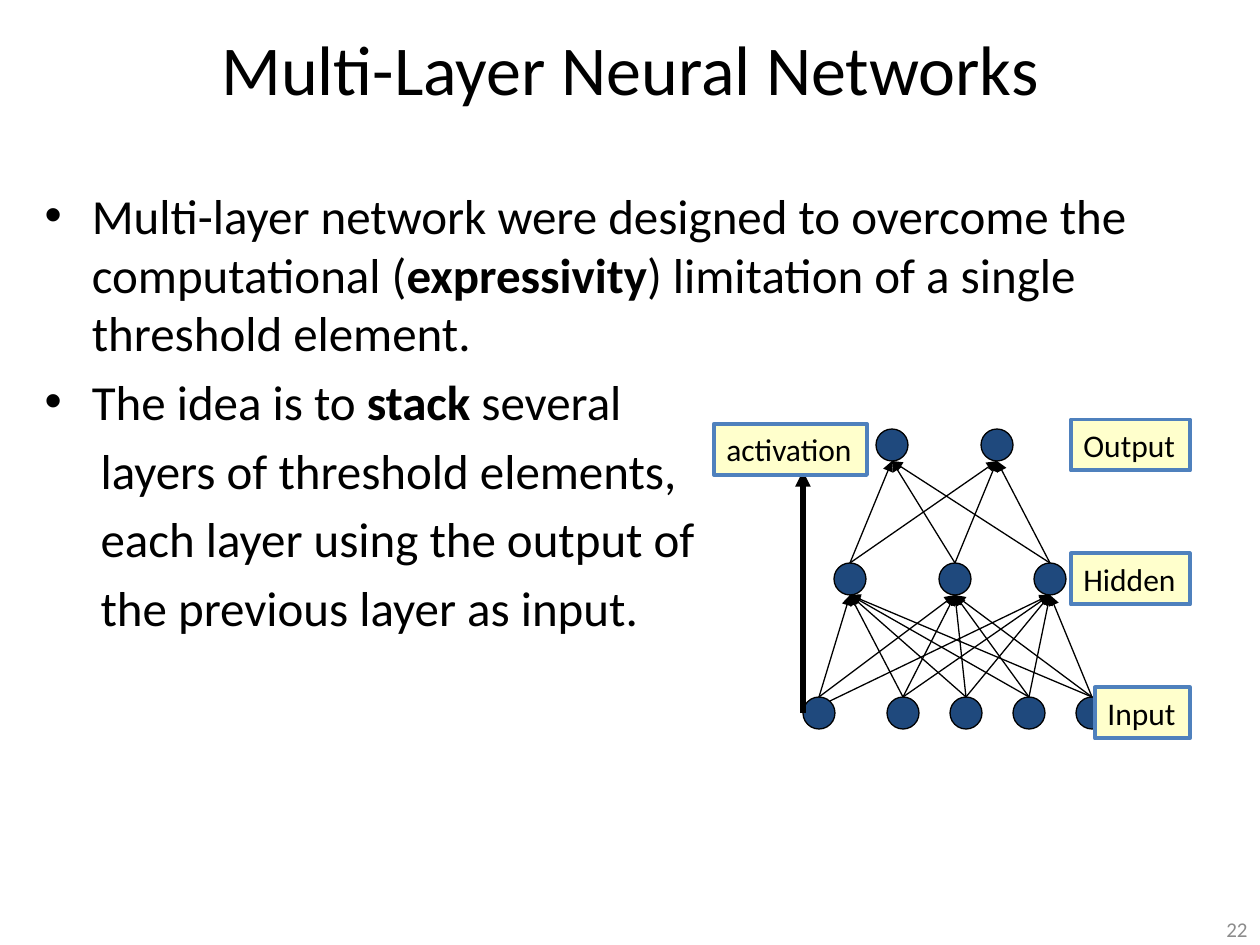
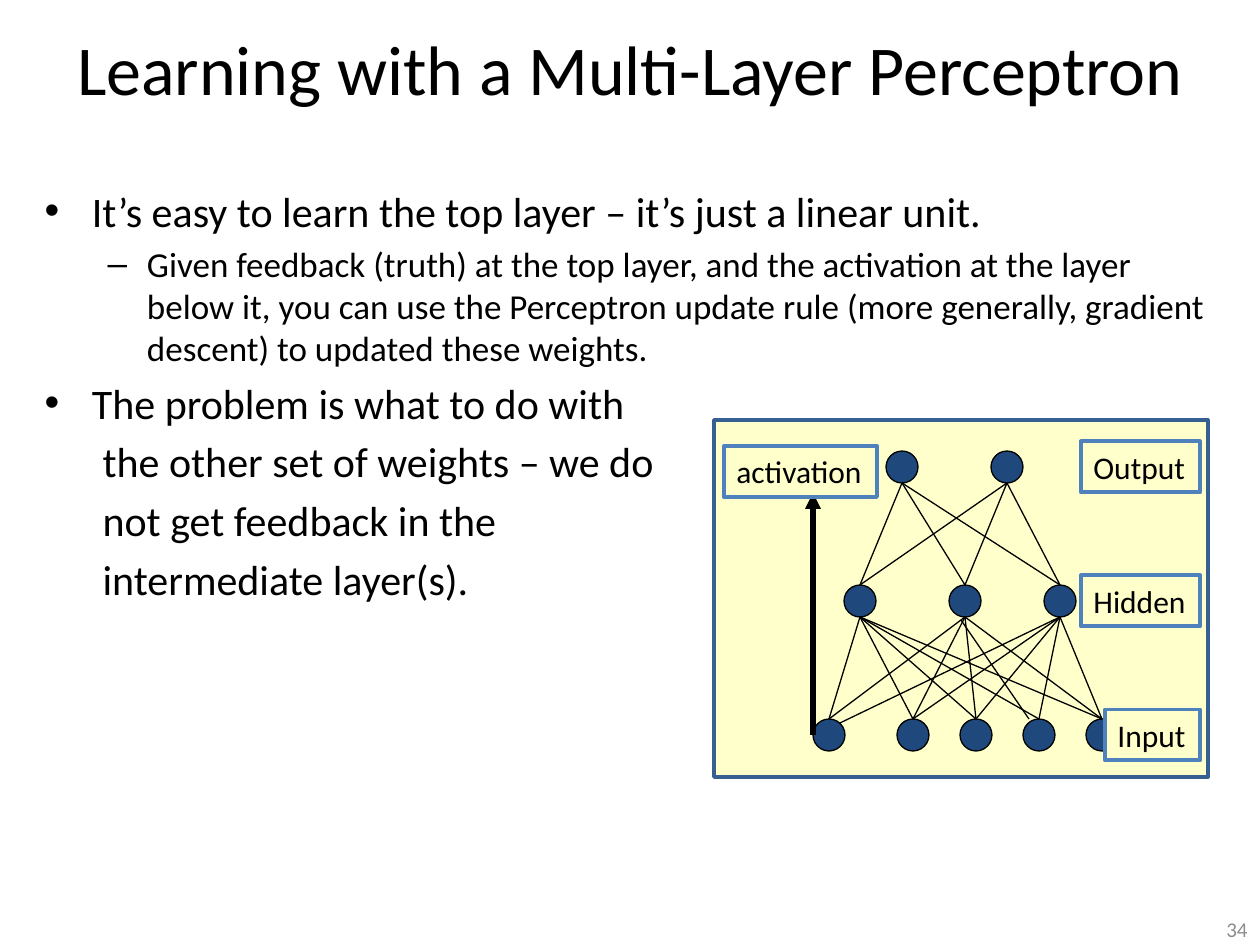
from dataclasses import dataclass

from lxml.etree import SubElement
from pptx import Presentation
from pptx.dml.color import RGBColor
from pptx.enum.shapes import MSO_CONNECTOR, MSO_SHAPE
from pptx.enum.text import MSO_ANCHOR, MSO_AUTO_SIZE, PP_ALIGN
from pptx.oxml.ns import qn
from pptx.util import Emu, Pt

PIXEL = 914400 / 126


@dataclass(frozen=True)
class Theme:
    font: str = "Calibri"
    text: str = "000000"
    number: str = "8C8C8C"
    node: str = "1F497D"
    edge: str = "000000"
    pale: str = "FFFFCC"
    label_line: str = "4F81BD"
    panel_line: str = "376092"
    title_size: int = 40
    label_size: int = 18
    number_size: int = 12
    edge_width: float = 0.75
    panel_width: float = 2
    label_width: float = 2.25
    arrow_width: float = 3


THEME = Theme()

# Boxes are left, top, width, height in px
SLIDE_SIZE = (1260, 945)
TITLE_BOX = (0, 0, 1260, 136)
BODY_BOX = (32, 179, 1196, 724)
NUMBER_BOX = (966, 914, 294, 31)
PANEL_BOX = (714, 420, 494, 357)

# The network: layer name, label width, height of centres, centres of nodes
NODE_SIZE = 32
LAYERS = [
    ("Output", 119, 445, [892, 997]),
    ("Hidden", 119, 579, [850, 955, 1050]),
    ("Input", 95, 713, [819, 903, 966, 1029, 1092]),
]
LABEL_RIGHT = 1190
LABEL_HEIGHT = 51
ACTIVATION_BOX = (714, 424, 153, LABEL_HEIGHT)
ACTIVATION_ARROW = (803, 713, 803, 471)

# Edges that stop beside the node: (layer, upper node, lower node) -> shift of both ends
SHIFTED_EDGES = {(1, 2, 0): (0, 0, 11, 4)}

BULLET, DASH, CONTINUED = "bullet", "dash", "continued"

SLIDES = [
    {
        "title": "Multi-Layer Neural Networks",
        "number": "22",
        "sizes": {BULLET: 28, CONTINUED: 28},
        "continued_indent": 56,
        "body": [
            (BULLET, [
                ("Multi-layer network were designed to overcome the computational (", False),
                ("expressivity", True),
                (") limitation of a single threshold element.", False),
            ]),
            (BULLET, [("The idea is to ", False), ("stack ", True), ("several", False)]),
            (CONTINUED, [("layers of threshold elements,", False)]),
            (CONTINUED, [("each layer using the output of", False)]),
            (CONTINUED, [("the previous layer as input.", False)]),
        ],
        "network": {"offset": (0, 0), "panel": False, "arrowheads": True,
                    "shifts": SHIFTED_EDGES},
    },
    {
        "title": "Learning with a Multi-Layer Perceptron",
        "number": "34",
        "sizes": {BULLET: 24, DASH: 20, CONTINUED: 24},
        "continued_indent": 58,
        "body": [
            (BULLET, [("It’s easy to learn the top layer – it’s just a linear unit.", False)]),
            (DASH, [(
                "Given feedback (truth) at the top layer, and the activation at the layer "
                "below it, you can use the Perceptron update rule (more generally, gradient "
                "descent) to updated these weights.", False)]),
            (BULLET, [("The problem is what to do with", False)]),
            (CONTINUED, [("the other set of weights – we do", False)]),
            (CONTINUED, [("not get feedback in the", False)]),
            (CONTINUED, [("intermediate layer(s).", False)]),
        ],
        "network": {"offset": (10, 22), "panel": True, "arrowheads": False,
                    "shifts": SHIFTED_EDGES | {(1, 1, 3): (-4, 3, -10, 0)}},
    },
]


def px(*lengths):
    return [Emu(round(length * PIXEL)) for length in lengths]


def rgb(color):
    return RGBColor.from_string(color)


def place(shape, box):
    shape.left, shape.top, shape.width, shape.height = px(*box)


def add_run(paragraph, text, size, color=THEME.text, bold=False):
    run = paragraph.add_run()
    run.text = text
    run.font.name = THEME.font
    run.font.size = Pt(size)
    run.font.bold = bold
    run.font.color.rgb = rgb(color)


def add_filled(shapes, kind, box, fill, line, line_width):
    shape = shapes.add_shape(kind, *px(*box))
    shape.shadow.inherit = False
    shape.fill.solid()
    shape.fill.fore_color.rgb = rgb(fill)
    shape.line.color.rgb = rgb(line)
    shape.line.width = Pt(line_width)
    return shape


def add_label(shapes, text, box):
    label = add_filled(shapes, MSO_SHAPE.RECTANGLE, box,
                       THEME.pale, THEME.label_line, THEME.label_width)
    frame = label.text_frame
    frame.word_wrap = False
    frame.auto_size = MSO_AUTO_SIZE.SHAPE_TO_FIT_TEXT
    frame.vertical_anchor = MSO_ANCHOR.TOP
    paragraph = frame.paragraphs[0]
    paragraph.alignment = PP_ALIGN.LEFT
    add_run(paragraph, text, THEME.label_size)


def add_line(shapes, ends, width, arrow_end=None):
    """arrow_end is a:headEnd for the start, a:tailEnd for the end."""
    line = shapes.add_connector(MSO_CONNECTOR.STRAIGHT, *px(*ends))
    line.line.color.rgb = rgb(THEME.edge)
    line.line.width = Pt(width)
    if arrow_end:
        SubElement(line.line._get_or_add_ln(), qn(arrow_end), type="triangle")
    SubElement(line._element.spPr, qn("a:effectLst"))


def add_network(slide, offset, panel, arrowheads, shifts):
    shapes = slide.shapes.add_group_shape().shapes
    dx, dy = offset
    radius = NODE_SIZE / 2
    if panel:
        add_filled(shapes, MSO_SHAPE.RECTANGLE, PANEL_BOX,
                   THEME.pale, THEME.panel_line, THEME.panel_width)

    for _, _, y, centres in LAYERS:
        for x in centres:
            add_filled(shapes, MSO_SHAPE.OVAL,
                       (x + dx - radius, y + dy - radius, NODE_SIZE, NODE_SIZE),
                       THEME.node, THEME.edge, THEME.edge_width)

    for layer, (upper, lower) in enumerate(zip(LAYERS, LAYERS[1:])):
        for i, upper_x in enumerate(upper[3]):
            for j, lower_x in enumerate(lower[3]):
                ends = (upper_x + dx, upper[2] + dy + radius,
                        lower_x + dx, lower[2] + dy - radius)
                shift = shifts.get((layer, i, j), (0, 0, 0, 0))
                add_line(shapes, [end + move for end, move in zip(ends, shift)],
                         THEME.edge_width, "a:headEnd" if arrowheads else None)

    x1, y1, x2, y2 = ACTIVATION_ARROW
    add_line(shapes, (x1 + dx, y1 + dy, x2 + dx, y2 + dy), THEME.arrow_width, "a:tailEnd")

    left, top, width, height = ACTIVATION_BOX
    add_label(shapes, "activation", (left + dx, top + dy, width, height))
    for name, width, y, _ in LAYERS:
        add_label(shapes, name, (LABEL_RIGHT - width + dx, y + dy - LABEL_HEIGHT / 2,
                                 width, LABEL_HEIGHT))


def fill_body(body, content):
    place(body, BODY_BOX)
    frame = body.text_frame
    frame.auto_size = MSO_AUTO_SIZE.NONE
    for index, (kind, runs) in enumerate(content["body"]):
        paragraph = frame.add_paragraph() if index else frame.paragraphs[0]
        paragraph.level = 1 if kind == DASH else 0
        if kind == CONTINUED:
            properties = paragraph._p.get_or_add_pPr()
            properties.set("marL", str(px(content["continued_indent"])[0]))
            properties.set("indent", "0")
            SubElement(properties, qn("a:buNone"))
        for text, bold in runs:
            add_run(paragraph, text, content["sizes"][kind], bold=bold)


def add_number(slide, number):
    frame = slide.shapes.add_textbox(*px(*NUMBER_BOX)).text_frame
    frame.word_wrap = True
    frame.vertical_anchor = MSO_ANCHOR.MIDDLE
    paragraph = frame.paragraphs[0]
    paragraph.alignment = PP_ALIGN.RIGHT
    add_run(paragraph, number, THEME.number_size, THEME.number)


def build_slide(presentation, content):
    slide = presentation.slides.add_slide(presentation.slide_layouts[1])
    title = slide.shapes.title
    place(title, TITLE_BOX)
    title.text_frame.vertical_anchor = MSO_ANCHOR.MIDDLE
    paragraph = title.text_frame.paragraphs[0]
    paragraph.alignment = PP_ALIGN.CENTER
    add_run(paragraph, content["title"], THEME.title_size)
    fill_body(slide.placeholders[1], content)
    add_number(slide, content["number"])
    add_network(slide, **content["network"])


def main():
    presentation = Presentation()
    presentation.slide_width, presentation.slide_height = px(*SLIDE_SIZE)
    for content in SLIDES:
        build_slide(presentation, content)
    presentation.save("out.pptx")


if __name__ == "__main__":
    main()
